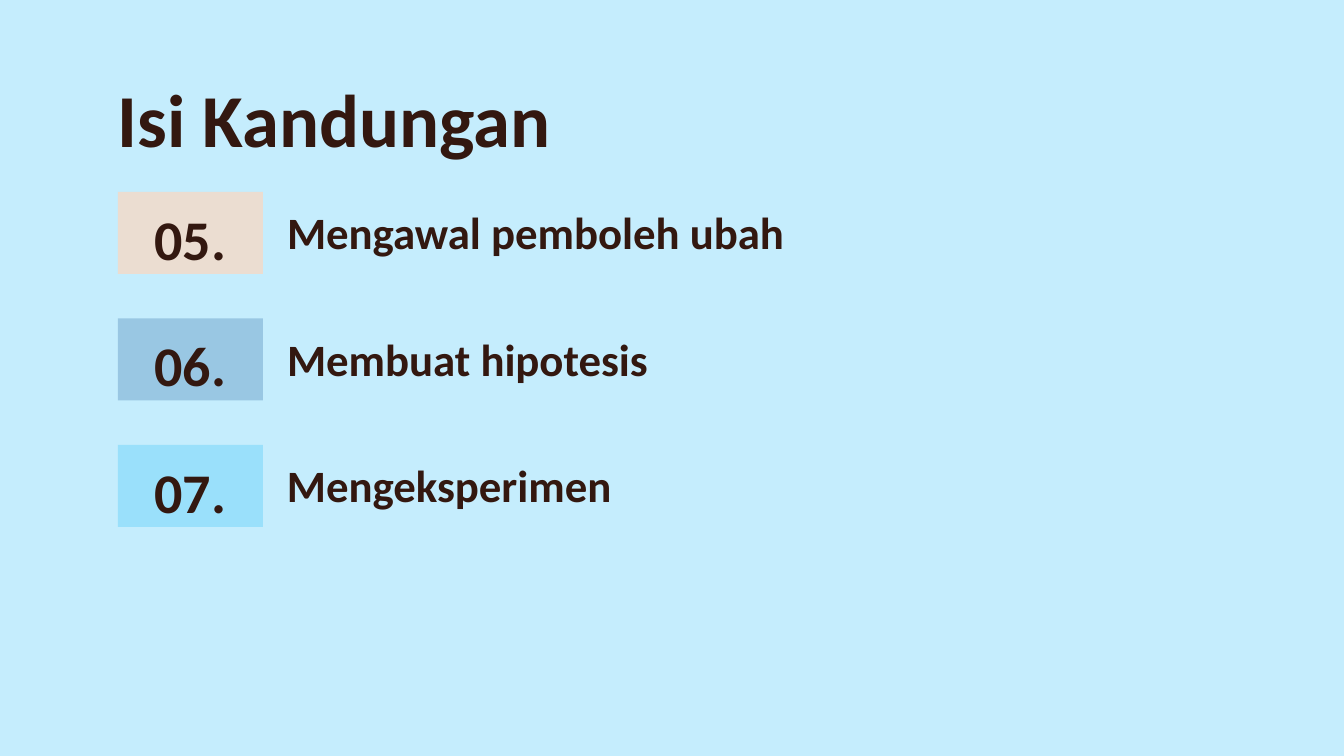
from pptx import Presentation
from pptx.dml.color import RGBColor
from pptx.enum.shapes import MSO_SHAPE
from pptx.enum.text import MSO_ANCHOR, PP_ALIGN
from pptx.util import Pt

RECTANGLE = MSO_SHAPE.RECTANGLE
TOP, MIDDLE = MSO_ANCHOR.TOP, MSO_ANCHOR.MIDDLE
LEFT, CENTER = PP_ALIGN.LEFT, PP_ALIGN.CENTER
SCALE = 914400 / 134.4
FONT = "Calibri"
INSET = 13
COLORS = {
    "background": "C5EDFD",
    "text": "331810",
    "sand": "EBDDD1",
    "steel": "99C7E3",
    "sky": "9AE0FB",
}
TOPICS = [
    ("05.", "Mengawal pemboleh ubah", "sand", 798, 82),
    ("06.", "Membuat hipotesis", "steel", 976, 82),
    ("07.", "Mengeksperimen", "sky", 621, 118),
]


def px(length):
    """Turn pixels into EMU."""
    return round(length * SCALE)


def color(name):
    """Look up a named colour."""
    return RGBColor.from_string(COLORS[name])


def write(shape, text, size, spacing=1.0, align=LEFT, anchor=TOP):
    """Put one bold line of text into a shape."""
    frame = shape.text_frame
    frame.word_wrap = True
    frame.vertical_anchor = anchor
    frame.margin_left = frame.margin_right = px(INSET)
    frame.margin_top = frame.margin_bottom = px(INSET)
    para = frame.paragraphs[0]
    para.alignment = align
    para.line_spacing = spacing
    span = para.add_run()
    span.text = text
    span.font.name = FONT
    span.font.size = Pt(size)
    span.font.bold = True
    span.font.color.rgb = color("text")


def add_title(page, left, top, width, height):
    """Place the slide title in its box."""
    box = page.shapes.add_textbox(px(left), px(top), px(width), px(height))
    write(box, "Isi Kandungan", 40, spacing=1.15)


def add_topic(page, left, top, topic):
    """Place a numbered tile and its topic beside it."""
    number, label, fill, label_width, label_height = topic
    tile = page.shapes.add_shape(RECTANGLE, px(left), px(top), px(145), px(82))
    tile.shadow.inherit = False
    tile.fill.solid()
    tile.fill.fore_color.rgb = color(fill)
    tile.line.fill.background()
    write(tile, number, 30, spacing=1.15, align=CENTER, anchor=MIDDLE)
    box = page.shapes.add_textbox(
        px(left + 156), px(top), px(label_width), px(label_height))
    write(box, label, 24)


def add_topics(page, left, top, height):
    """Spread the topics evenly down the list's height."""
    pitch = (height - 82) / (len(TOPICS) - 1)
    for index, topic in enumerate(TOPICS):
        add_topic(page, left, top + index * pitch, topic)


def main():
    """Build and save the contents slide."""
    deck = Presentation()
    deck.slide_width, deck.slide_height = px(1344), px(756)
    page = deck.slides.add_slide(deck.slide_layouts[6])
    page.background.fill.solid()
    page.background.fill.fore_color.rgb = color("background")
    add_title(page, 105, 46, 1134, 95)
    add_topics(page, 118, 192, 335)
    deck.save("out.pptx")


if __name__ == "__main__":
    main()
